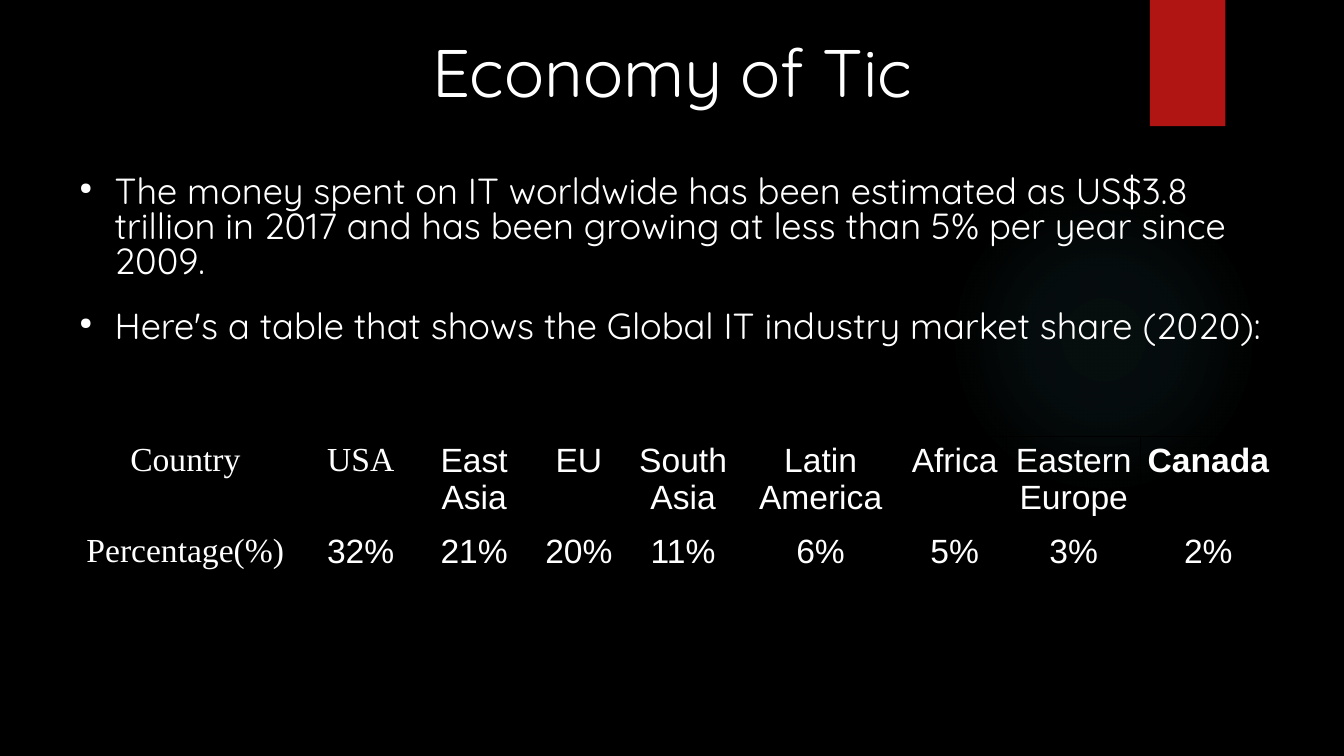
from lxml.etree import SubElement
from pptx import Presentation
from pptx.dml.color import RGBColor
from pptx.enum.shapes import MSO_SHAPE
from pptx.enum.text import MSO_ANCHOR, PP_ALIGN
from pptx.oxml import parse_xml
from pptx.oxml.ns import nsdecls, qn
from pptx.util import Cm, Pt

COUNTRIES = ["Country", "USA", "East Asia", "EU", "South Asia", "Latin America",
             "Africa", "Eastern Europe", "Canada"]
SHARES = ["Percentage(%)", "32%", "21%", "20%", "11%", "6%", "5%", "3%", "2%"]
SERIF_LABELS = {"Country", "USA", "Percentage(%)"}
COLUMN_WIDTHS = [5.94, 2.9, 2.82, 2.46, 2.79, 4.14, 2.62, 3.38, 3.4]
BULLETS = [
    "The money spent on IT worldwide has been estimated as US$3.8 trillion in 2017 "
    "and has been growing at less than 5% per year since 2009.",
    "Here's a table that shows the Global IT industry market share (2020):",
]


def color(hex_string):
    """Return the colour for a hex string."""
    return RGBColor.from_string(hex_string)


def write(paragraph, text, font="Arial", size=24, ink="FFFFFF", bold=False,
          align=PP_ALIGN.LEFT, before=0, after=0, line=1.0):
    """Write formatted text into a paragraph."""
    paragraph.alignment = align
    paragraph.space_before, paragraph.space_after = Pt(before), Pt(after)
    paragraph.line_spacing = line
    run = paragraph.add_run()
    run.text = text
    run.font.name, run.font.size, run.font.bold = font, Pt(size), bold
    run.font.color.rgb = color(ink)


class DarkSlide:
    """Hold the style and the current slide."""

    font = "Quicksand"
    background = "000000"
    accent = "B01513"
    glow_color = "50B9C1"
    spacing = {"before": 11.9, "after": 9.9}

    def __init__(self, presentation):
        """Add a title-only slide with a plain background."""
        self.slide = presentation.slides.add_slide(presentation.slide_layouts[5])
        fill = self.slide.background.fill
        fill.solid()
        fill.fore_color.rgb = color(self.background)

    def frame(self, shape):
        """Return the shape's text frame, wrapped, top-aligned and without margins."""
        frame = shape.text_frame
        frame.word_wrap = True
        frame.vertical_anchor = MSO_ANCHOR.TOP
        frame.margin_left = frame.margin_right = frame.margin_top = frame.margin_bottom = 0
        return frame

    def shape(self, kind, left, top, width, height):
        """Add a preset shape without line or shadow."""
        shape = self.slide.shapes.add_shape(kind, Cm(left), Cm(top), Cm(width), Cm(height))
        shape.shadow.inherit = False
        shape.line.fill.background()
        return shape

    def ribbon(self, left, top, width, height):
        """Add the accent rectangle."""
        fill = self.shape(MSO_SHAPE.RECTANGLE, left, top, width, height).fill
        fill.solid()
        fill.fore_color.rgb = color(self.accent)

    def glow(self, left, top, diameter):
        """Add a faint round glow that fades out."""
        shape = self.shape(MSO_SHAPE.OVAL, left, top, diameter, diameter)
        stops = "".join(
            f'<a:gs pos="{position}000"><a:srgbClr val="{self.glow_color}">'
            f'<a:alpha val="{alpha}000"/></a:srgbClr></a:gs>'
            for position, alpha in [(0, 7), (36, 6), (69, 0), (100, 0)])
        gradient = parse_xml(
            f'<a:gradFill {nsdecls("a")} rotWithShape="1"><a:gsLst>{stops}</a:gsLst>'
            '<a:path path="circle"><a:fillToRect l="50000" t="50000" r="50000" b="50000"/>'
            '</a:path></a:gradFill>')
        shape._element.spPr.find(qn("a:prstGeom")).addnext(gradient)

    def title(self, text, left, top, width, height):
        """Place and write the title."""
        title = self.slide.shapes.title
        title.left, title.top, title.width, title.height = map(Cm, (left, top, width, height))
        write(self.frame(title).paragraphs[0], text, self.font, 48, align=PP_ALIGN.CENTER)

    def bullets(self, texts, left, top, width, height):
        """Add a bulleted list."""
        box = self.slide.shapes.add_textbox(Cm(left), Cm(top), Cm(width), Cm(height))
        frame = self.frame(box)
        for index, text in enumerate(texts):
            paragraph = frame.add_paragraph() if index else frame.paragraphs[0]
            write(paragraph, text, self.font, 25.9, line=0.8, **self.spacing)
            properties = paragraph._p.get_or_add_pPr()
            properties.set("marL", str(Cm(1.19)))
            properties.set("indent", str(Cm(-0.89)))
            bullet_color = SubElement(properties, qn("a:buClr"))
            SubElement(bullet_color, qn("a:srgbClr"), val="FFFFFF")
            SubElement(properties, qn("a:buSzPct"), val="45000")
            SubElement(properties, qn("a:buChar"), char="●")

    def cell(self, cell, text):
        """Write a centred cell with thin borders and no fill."""
        cell.margin_left = cell.margin_right = Cm(0.1)
        cell.margin_top = cell.margin_bottom = Cm(0.13)
        font = "Times New Roman" if text in SERIF_LABELS else "Arial"
        write(cell.text_frame.paragraphs[0], text, font, bold=text == "Canada",
              align=PP_ALIGN.CENTER, **self.spacing)
        properties = cell._tc.get_or_add_tcPr()
        for side in ("lnL", "lnR", "lnT", "lnB"):
            border = SubElement(properties, qn(f"a:{side}"), w=str(Pt(0.57)))
            fill = SubElement(border, qn("a:solidFill"))
            SubElement(fill, qn("a:srgbClr"), val=self.background)
        cell.fill.background()

    def table(self, rows, widths, left, top, height, row_height):
        """Add a plain table."""
        frame = self.slide.shapes.add_table(
            len(rows), len(widths), Cm(left), Cm(top), Cm(sum(widths)), Cm(height))
        table = frame.table
        table.first_row = table.horz_banding = False
        for column, width in zip(table.columns, widths):
            column.width = Cm(width)
        for row, texts in zip(table.rows, rows):
            row.height = Cm(row_height)
            for cell, text in zip(row.cells, texts):
                self.cell(cell, text)
        frame.height = Cm(height)


def main():
    """Build and save the slide."""
    presentation = Presentation()
    presentation.slide_width, presentation.slide_height = Cm(33.87), Cm(19.05)
    page = DarkSlide(presentation)
    page.glow(23.9, 4.65, 7.82)
    page.ribbon(28.98, 0, 1.9, 3.18)
    page.title("Economy of Tic", 1.7, 0.76, 30.48, 3.18)
    page.bullets(BULLETS, 1.7, 4.45, 30.48, 5.26)
    page.table([COUNTRIES, SHARES], COLUMN_WIDTHS, 1.7, 11, 4.98, 2.26)
    presentation.save("out.pptx")


if __name__ == "__main__":
    main()
